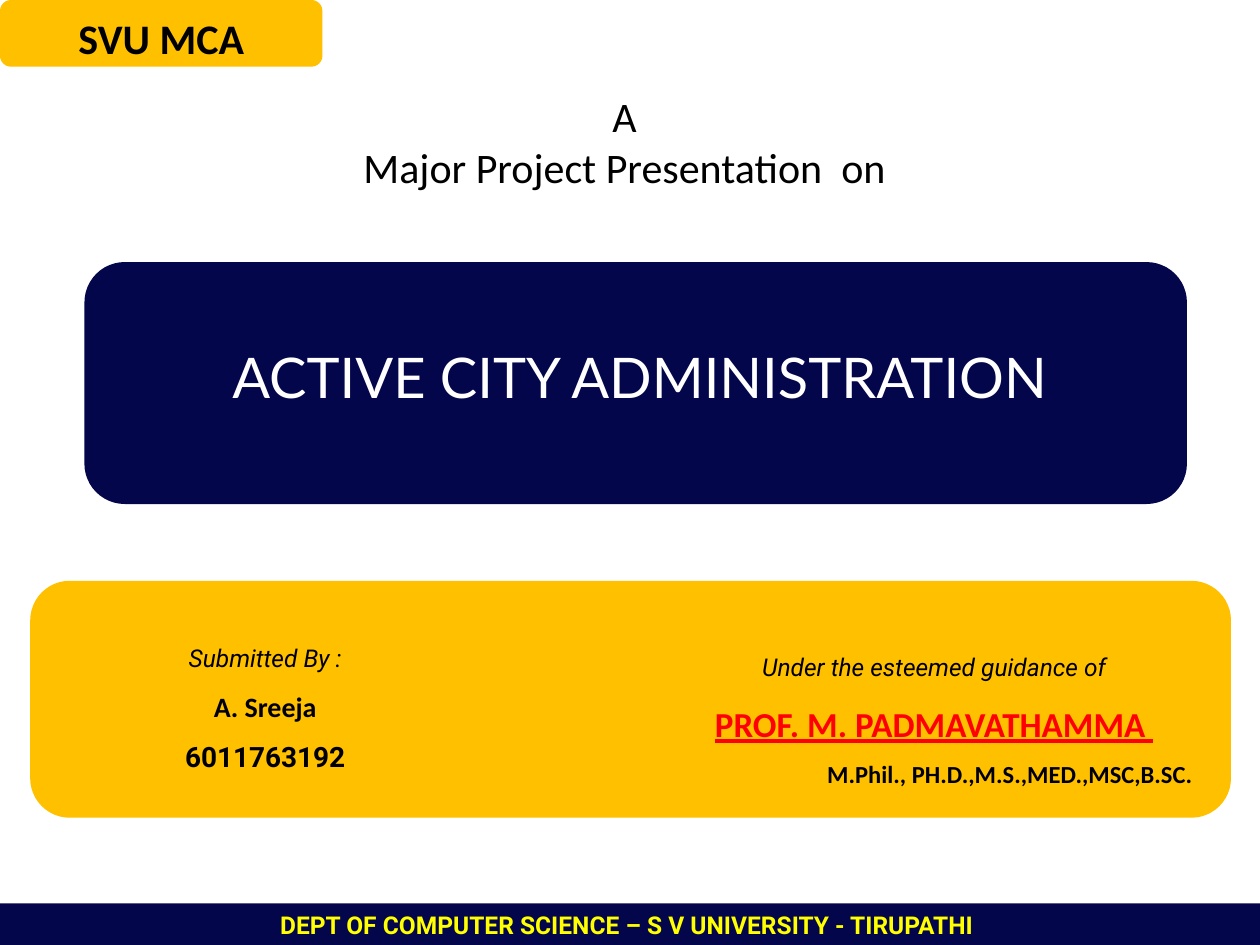
from dataclasses import dataclass

from pptx import Presentation
from pptx.dml.color import RGBColor
from pptx.enum.shapes import MSO_SHAPE
from pptx.enum.text import MSO_ANCHOR, PP_ALIGN
from pptx.util import Inches, Pt

RECTANGLE = MSO_SHAPE.RECTANGLE
ROUNDED = MSO_SHAPE.ROUNDED_RECTANGLE
TOP, MIDDLE = MSO_ANCHOR.TOP, MSO_ANCHOR.MIDDLE
CENTER = PP_ALIGN.CENTER


@dataclass(frozen=True)
class Theme:
    amber: RGBColor = RGBColor(0xFF, 0xC0, 0x00)
    navy: RGBColor = RGBColor(0x04, 0x06, 0x4C)
    black: RGBColor = RGBColor(0x00, 0x00, 0x00)
    white: RGBColor = RGBColor(0xFF, 0xFF, 0xFF)
    red: RGBColor = RGBColor(0xFF, 0x00, 0x00)
    yellow: RGBColor = RGBColor(0xFF, 0xFF, 0x00)
    body: str = "Calibri"
    label: str = "Roboto"
    display: str = "Lato"
    small: int = 14
    medium: int = 16
    large: int = 20
    heading: int = 24
    title: int = 32


THEME = Theme()


@dataclass(frozen=True)
class Line:
    text: str
    size: int
    font: str
    color: RGBColor = THEME.black
    bold: bool = False
    italic: bool = False
    underline: bool = False
    indent: float = 0


def add_panel(slide, kind, box, color):
    panel = slide.shapes.add_shape(kind, *map(Inches, box))
    panel.shadow.inherit = False
    panel.fill.solid()
    panel.fill.fore_color.rgb = color
    panel.line.fill.background()
    return panel


def write_lines(shape, lines, margins=(0.1, 0.05, 0.1, 0.05), anchor=TOP, spacing=1):
    """Fill a shape with centred lines; margins are left, top, right, bottom."""
    frame = shape.text_frame
    frame.word_wrap = True
    frame.vertical_anchor = anchor
    (frame.margin_left, frame.margin_top,
     frame.margin_right, frame.margin_bottom) = map(Inches, margins)
    for index, line in enumerate(lines):
        paragraph = frame.add_paragraph() if index else frame.paragraphs[0]
        paragraph.text = line.text
        paragraph.alignment = CENTER
        paragraph.line_spacing = spacing
        if line.indent:
            paragraph._p.get_or_add_pPr().set("marL", str(Inches(line.indent)))
        font = paragraph.font
        font.name, font.size = line.font, Pt(line.size)
        font.color.rgb = line.color
        font.bold, font.italic, font.underline = line.bold, line.italic, line.underline


def add_text(slide, box, lines, **layout):
    write_lines(slide.shapes.add_textbox(*map(Inches, box)), lines, **layout)


def add_course_tag(slide, box):
    tag = add_panel(slide, ROUNDED, box, THEME.amber)
    write_lines(tag, [Line("SVU MCA", THEME.heading, THEME.body, bold=True)],
                margins=(0.1, 0.07, 0.1, 0), anchor=MIDDLE)


def add_heading(slide, box):
    add_text(slide, box, [
        Line(text, THEME.heading, THEME.body)
        for text in ("A ", "Major Project Presentation  on ")
    ])


def add_title(slide, box):
    left, top, width, _ = box
    add_panel(slide, ROUNDED, box, THEME.navy)
    add_text(slide, (left + 0.16, top + 0.1, width - 0.25, 1.61),
             [Line("ACTIVE CITY ADMINISTRATION", THEME.title, THEME.display, THEME.white)],
             margins=(0, 0, 0, 0), anchor=MIDDLE)


def add_credits(slide, box):
    left, top, _, _ = box
    add_panel(slide, ROUNDED, box, THEME.amber)
    student = [
        Line("Submitted By :", THEME.small, THEME.label, italic=True),
        Line("A. Sreeja", THEME.medium, THEME.body, bold=True),
        Line("6011763192", THEME.medium, THEME.label, bold=True),
    ]
    guide = [
        Line("Under the esteemed guidance of", THEME.small, THEME.label, italic=True),
        Line("PROF. M. PADMAVATHAMMA ", THEME.large, THEME.body, THEME.red,
             bold=True, underline=True),
        Line("M.Phil., PH.D.,M.S.,MED.,MSC,B.SC.", THEME.small, THEME.body,
             bold=True, indent=1.2),
    ]
    for offset_x, offset_y, lines in ((-0.79, 0.13, student), (4.52, 0.2, guide)):
        add_text(slide, (left + offset_x, top + offset_y, 5.31, 1.54), lines,
                 margins=(0, 0.25, 0, 0), spacing=1.5)


def add_footer(slide, box):
    footer = add_panel(slide, RECTANGLE, box, THEME.navy)
    write_lines(footer, [Line("DEPT OF COMPUTER SCIENCE – S V UNIVERSITY - TIRUPATHI ",
                              THEME.small, THEME.label, THEME.yellow, bold=True)])


def main():
    presentation = Presentation()
    presentation.slide_width, presentation.slide_height = Inches(10), Inches(7.5)
    slide = presentation.slides.add_slide(presentation.slide_layouts[6])
    add_credits(slide, (0.24, 4.61, 9.53, 1.88))
    add_footer(slide, (0, 7.17, 10, 0.34))
    add_title(slide, (0.67, 2.08, 8.75, 1.92))
    add_course_tag(slide, (0, 0, 2.56, 0.53))
    add_heading(slide, (2.48, 0.67, 5.03, 0.91))
    presentation.save("out.pptx")


if __name__ == "__main__":
    main()
